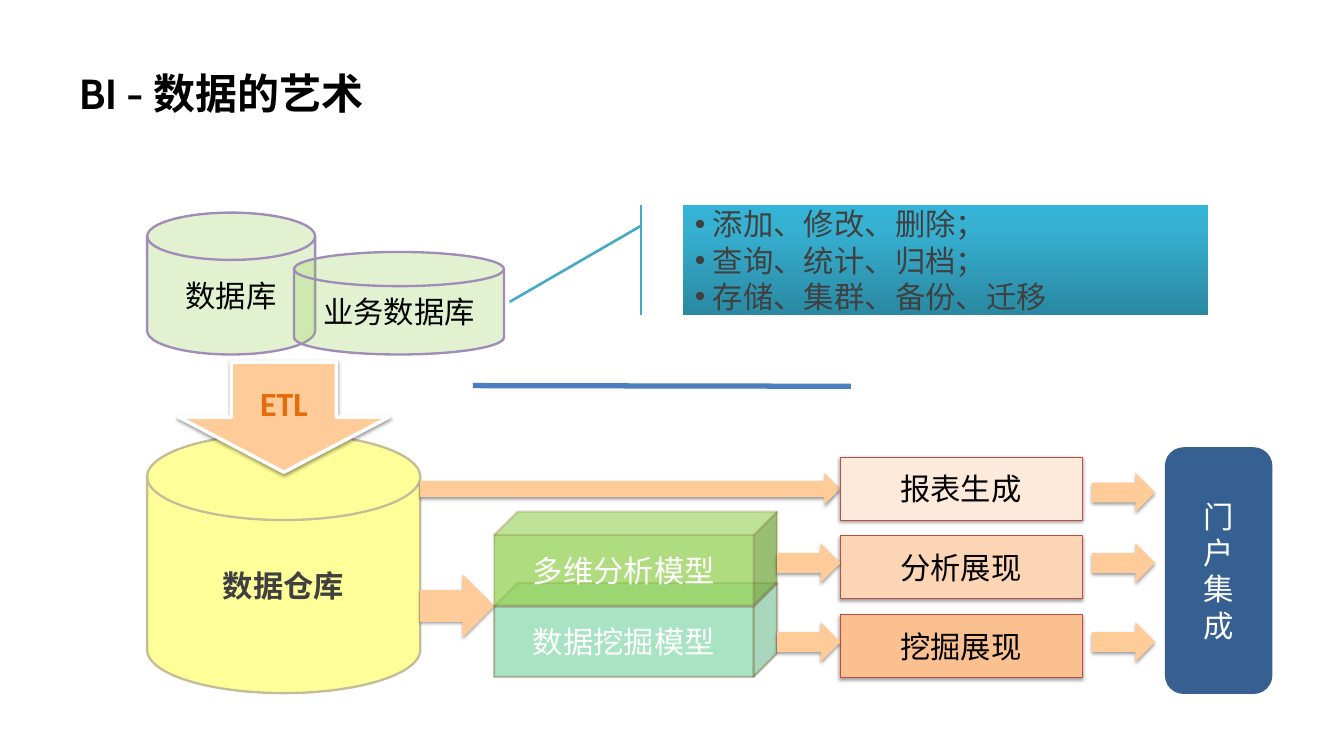
from copy import deepcopy

from lxml.etree import SubElement
from pptx import Presentation
from pptx.dml.color import RGBColor as RGB
from pptx.enum.shapes import MSO_CONNECTOR as CONN, MSO_SHAPE as SHAPE
from pptx.enum.text import MSO_ANCHOR as ANCHOR, PP_ALIGN as ALIGN
from pptx.oxml.ns import qn
from pptx.util import Cm, Pt

COLORS = {
    "black": "000000", "white": "FFFFFF", "text": "404040", "etl": "E46C0A",
    "green": "92D050", "mining": "00B050", "purple": "A08BB9",
    "yellow": "FFFF99", "tan": "C4BD97", "arrow": "FFCC99",
    "brown": "663300", "red": "BF4C48", "rule": "4B7EBC",
    "report": "FDEADA", "analysis": "FCD5B5", "insight": "FAC090",
    "portal": "376092", "portal_edge": "3A5F8C", "callout_edge": "46AAC5",
    "callout_low": "2A88A2", "callout_mid": "37B1D2", "callout_top": "34B4D6",
}
WIDE = (0.36, 0.18)
NORMAL = (0.25, 0.13)


class Deck:
    font = {"name": "Calibri", "size": Pt(26), "bold": False}

    def __init__(self, width, height):
        self.prs = Presentation()
        self.prs.slide_width, self.prs.slide_height = Cm(width), Cm(height)
        self.s = self.prs.slides.add_slide(self.prs.slide_layouts[5])

    def color(self, name):
        return RGB.from_string(COLORS[name])

    def alpha(self, parent, percent):
        clr = next(parent.iter(qn("a:srgbClr")))
        SubElement(clr, qn("a:alpha")).set("val", str(percent * 1000))

    def text(self, sp, lines, color, align=ALIGN.CENTER, inset=NORMAL, bullet=False, **font):
        tf = sp.text_frame
        x, y = map(Cm, inset)
        frame = {"word_wrap": True, "vertical_anchor": ANCHOR.MIDDLE, "margin_left": x,
                 "margin_right": x, "margin_top": y, "margin_bottom": y}
        for key, value in frame.items():
            setattr(tf, key, value)
        for i, line in enumerate(lines):
            p = tf.add_paragraph() if i else tf.paragraphs[0]
            p.alignment = align
            if bullet:
                pPr = p._p.get_or_add_pPr()
                pPr.set("marL", str(Cm(0.55)))
                pPr.set("indent", str(-Cm(0.55)))
                SubElement(pPr, qn("a:buFont")).set("typeface", "Arial")
                SubElement(pPr, qn("a:buChar")).set("char", "•")
            r = p.add_run()
            r.text = line
            for key, value in {**self.font, **font}.items():
                setattr(r.font, key, value)
            r.font.color.rgb = self.color(color)

    def title(self, text, box):
        sp = self.s.shapes.title
        for key, value in zip(("left", "top", "width", "height"), box):
            setattr(sp, key, Cm(value))
        self.text(sp, [text], "black", ALIGN.LEFT, WIDE, name="Cabin", size=Pt(36), bold=True)

    def shape(self, kind, box, fill, line=None, width=2, fill_alpha=None, line_alpha=None,
              shadow=False):
        sp = self.s.shapes.add_shape(kind, *map(Cm, box))
        sp.shadow.inherit = False
        sp.fill.solid()
        sp.fill.fore_color.rgb = self.color(fill)
        if fill_alpha:
            self.alpha(sp._element.spPr.find(qn("a:solidFill")), fill_alpha)
        if line:
            sp.line.color.rgb = self.color(line)
            sp.line.width = Pt(width)
            if line_alpha:
                self.alpha(sp._element.spPr.find(qn("a:ln")), line_alpha)
        else:
            sp.line.fill.background()
        if shadow:
            self.cast(sp)
        return sp

    def cast(self, sp):
        effects = sp._element.spPr.find(qn("a:effectLst"))
        shadow = SubElement(effects, qn("a:outerShdw"))
        values = {"blurRad": Pt(3.1), "dist": Pt(1.6), "dir": 90 * 60000, "rotWithShape": 0}
        for key, value in values.items():
            shadow.set(key, str(int(value)))
        SubElement(shadow, qn("a:srgbClr")).set("val", COLORS["black"])
        self.alpha(shadow, 38)

    def disk(self, text, box, fill, line, color, fill_alpha=None, **text_format):
        sp = self.shape(SHAPE.FLOWCHART_MAGNETIC_DISK, box, fill, line, fill_alpha=fill_alpha)
        self.text(sp, [text], color, **text_format)

    def cube(self, text, box, fill, fill_alpha, line_alpha):
        sp = self.shape(SHAPE.CUBE, box, fill, "brown", 2, fill_alpha, line_alpha)
        self.text(sp, [text], "white")

    def arrow(self, *box):
        self.shape(SHAPE.RIGHT_ARROW, box, "arrow", shadow=True)

    def callout(self, lines, box, adjustments, stops):
        sp = self.shape(SHAPE.LINE_CALLOUT_1_ACCENT_BAR, box, "callout_mid", "callout_edge", 2.25)
        for i, value in enumerate(adjustments):
            sp.adjustments[i] = value
        sp.fill.gradient()
        sp.fill.gradient_angle = 90
        gs_list = next(sp._element.spPr.iter(qn("a:gsLst")))
        gs_list.append(deepcopy(gs_list[0]))
        for stop, (position, color) in zip(sp.fill.gradient_stops, stops):
            stop.position = position
            stop.color.rgb = self.color(color)
        self.text(sp, lines, "text", ALIGN.LEFT, WIDE, bullet=True)

    def line(self, ends, color, width):
        c = self.s.shapes.add_connector(CONN.STRAIGHT, *map(Cm, ends))
        c.line.color.rgb = self.color(color)
        c.line.width = Pt(width)
        SubElement(c._element.spPr, qn("a:effectLst"))


def main():
    d = Deck(40.64, 22.86)
    d.title("BI - 数据的艺术", (2.03, 0.91, 36.5, 3.81))

    d.disk("数据库", (4.45, 6.43, 5.08, 4.29), "green", "purple", "black", 26)
    d.disk("业务数据库", (8.89, 7.62, 6.35, 3.1), "green", "purple", "black", 26)
    d.callout(["添加、修改、删除；", "查询、统计、归档；", "存储、集群、备份、迁移"],
              (20.65, 6.2, 15.88, 3.33), (0.19, -0.08, 0.88, -0.33),
              [(0, "callout_low"), (0.8, "callout_mid"), (1, "callout_top")])
    d.line((14.3, 11.66, 25.73, 11.68), "rule", 4.5)

    d.disk("数据仓库", (4.45, 13.11, 8.26, 7.85), "yellow", "tan", "text", inset=WIDE, bold=True)
    etl = d.shape(SHAPE.DOWN_ARROW, (5.41, 10.95, 6.35, 3.33), "arrow", "white", 3, shadow=True)
    d.text(etl, ["ETL"], "etl", inset=WIDE, size=Pt(29), bold=True)

    d.arrow(12.7, 14.3, 12.7, 0.97)
    d.arrow(12.7, 17.37, 2.24, 1.91)
    d.cube("数据挖掘模型", (14.94, 17.63, 8.56, 2.84), "mining", 34, 30)
    d.cube("多维分析模型", (14.94, 15.47, 8.56, 2.84), "green", 73, 17)

    outputs = [("报表生成", "report", 14.3, [33.02]),
               ("分析展现", "analysis", 16.43, [23.5, 33.02]),
               ("挖掘展现", "insight", 18.82, [23.5, 33.02])]
    for i, (text, fill, arrow_top, arrow_lefts) in enumerate(outputs):
        box = (25.4, 13.82 + 2.38 * i, 7.32, 1.91)
        sp = d.shape(SHAPE.RECTANGLE, box, fill, "red", 0.75, shadow=True)
        d.text(sp, [text], "black")
        for left in arrow_lefts:
            d.arrow(left, arrow_top, 1.91, 1.19)

    portal = d.shape(SHAPE.ROUNDED_RECTANGLE, (35.26, 13.56, 3.18, 7.39), "portal", "portal_edge")
    d.text(portal, "门户集成", "white")

    d.prs.save("out.pptx")


if __name__ == "__main__":
    main()
